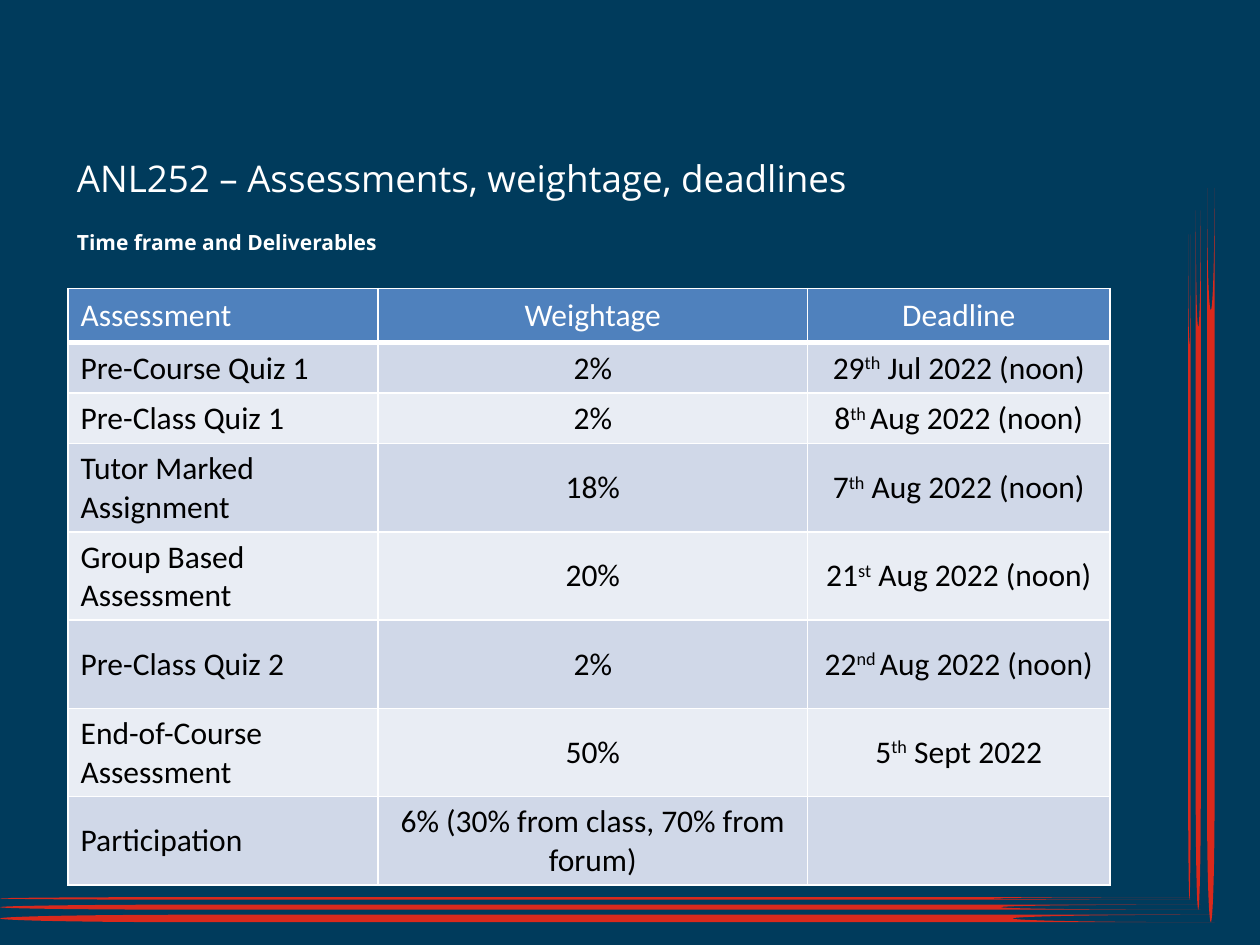
from pptx import Presentation
from pptx.dml.color import RGBColor
from pptx.enum.shapes import MSO_SHAPE
from pptx.enum.text import MSO_ANCHOR, PP_ALIGN
from pptx.oxml import parse_xml
from pptx.oxml.ns import nsdecls
from pptx.util import Inches, Pt

COLORS = {
    "background": "003B5C", "stripe": "DA291C", "white": "FFFFFF", "black": "000000",
    "header": "4F81BD", "odd_row": "D0D8E8", "even_row": "E9EDF4",
}
TITLE = "ANL252 – Assessments, weightage, deadlines"
SUBTITLE = "Time frame and Deliverables"
HEADINGS = ["Assessment", "Weightage", "Deadline"]
# Assessment, weightage, deadline as (day, raised suffix, rest), row height
ASSESSMENTS = [
    ("Pre-Course Quiz 1", "2%", ("29", "th", " Jul 2022 (noon)"), 0.4),
    ("Pre-Class Quiz 1", "2%", ("8", "th ", "Aug 2022 (noon)"), 0.4),
    ("Tutor Marked Assignment", "18%", ("7", "th", " Aug 2022 (noon)"), 0.4),
    ("Group Based Assessment", "20%", ("21", "st", " Aug 2022 (noon)"), 0.7),
    ("Pre-Class Quiz 2", "2%", ("22", "nd ", "Aug 2022 (noon)"), 0.7),
    ("End-of-Course Assessment", "50%", ("5", "th", " Sept 2022"), 0.7),
    ("Participation", "6% (30% from class, 70% from forum)", (), 0.4),
]
HEADER_HEIGHT = 0.43
COLUMN_WIDTHS = [2.46, 3.41, 2.4]
# Right edge, bottom edge, thickness, height of the upright stripe
STRIPES = [(9.45, 7.14, 0.02, 5.28), (9.53, 7.22, 0.04, 5.55), (9.64, 7.32, 0.06, 5.83)]


def color(name):
    return RGBColor.from_string(COLORS[name])


def add_filled_shape(slide, kind, left, top, width, height, fill):
    shape = slide.shapes.add_shape(
        kind, Inches(left), Inches(top), Inches(width), Inches(height))
    shape.shadow.inherit = False
    shape.fill.solid()
    shape.fill.fore_color.rgb = color(fill)
    shape.line.fill.background()
    return shape


def add_stripe_pair(slide, right, bottom, thickness, upright):
    """Add a level stripe and an upright one that meet at the same corner."""
    kind = MSO_SHAPE.FLOWCHART_STORED_DATA
    add_filled_shape(slide, kind, 0, bottom - thickness, right, thickness, "stripe")
    left = right - thickness / 2 - upright / 2
    top = bottom - upright / 2 - thickness / 2
    stripe = add_filled_shape(slide, kind, left, top, upright, thickness, "stripe")
    stripe.rotation = 270


def add_heading(slide, text, left, top, width, height, size, bold, anchor):
    box = slide.shapes.add_textbox(
        Inches(left), Inches(top), Inches(width), Inches(height))
    frame = box.text_frame
    frame.word_wrap = True
    frame.vertical_anchor = anchor
    frame.margin_left = frame.margin_right = Inches(0.07)
    frame.margin_top = frame.margin_bottom = Inches(0.04)
    frame.text = text
    font = frame.paragraphs[0].runs[0].font
    font.name, font.size, font.bold = "Open Sans", Pt(size), bold
    font.color.rgb = color("white")


def style_cell(cell, fill, text_color, alignment, bottom_width):
    properties = cell._tc.get_or_add_tcPr()
    for side, width in (("L", 1), ("R", 1), ("T", 1), ("B", bottom_width)):
        properties.append(parse_xml(
            f'<a:ln{side} {nsdecls("a")} w="{Pt(width)}"><a:solidFill>'
            f'<a:srgbClr val="{COLORS["white"]}"/></a:solidFill></a:ln{side}>'))
    cell.fill.solid()
    cell.fill.fore_color.rgb = color(fill)
    cell.vertical_anchor = MSO_ANCHOR.MIDDLE
    paragraph = cell.text_frame.paragraphs[0]
    paragraph.alignment = alignment
    for font in [paragraph.font] + [run.font for run in paragraph.runs]:
        font.name, font.size, font.bold = "Calibri", Pt(18), False
        font.color.rgb = color(text_color)


def fill_deadline(cell, parts):
    paragraph = cell.text_frame.paragraphs[0]
    for index, text in enumerate(parts):
        run = paragraph.add_run()
        run.text = text
        if index == 1:
            run._r.get_or_add_rPr().set("baseline", "30000")


def add_assessment_table(slide):
    heights = [HEADER_HEIGHT] + [row[-1] for row in ASSESSMENTS]
    table = slide.shapes.add_table(
        len(heights), len(HEADINGS), Inches(0.54), Inches(2.29),
        Inches(sum(COLUMN_WIDTHS)), Inches(sum(heights))).table
    for column, width in zip(table.columns, COLUMN_WIDTHS):
        column.width = Inches(width)
    for row, height in zip(table.rows, heights):
        row.height = Inches(height)

    for index, heading in enumerate(HEADINGS):
        table.cell(0, index).text = heading
    for index, (assessment, weightage, deadline, _) in enumerate(ASSESSMENTS, 1):
        table.cell(index, 0).text = assessment
        table.cell(index, 1).text = weightage
        fill_deadline(table.cell(index, 2), deadline)

    for row_index, row in enumerate(table.rows):
        if row_index == 0:
            fill, text_color, bottom_width = "header", "white", 3
        else:
            fill = "odd_row" if row_index % 2 else "even_row"
            text_color, bottom_width = "black", 1
        for column_index, cell in enumerate(row.cells):
            alignment = PP_ALIGN.CENTER if column_index else PP_ALIGN.LEFT
            style_cell(cell, fill, text_color, alignment, bottom_width)


def main():
    presentation = Presentation()
    presentation.slide_width, presentation.slide_height = Inches(10), Inches(7.5)
    slide = presentation.slides.add_slide(presentation.slide_layouts[6])
    add_filled_shape(slide, MSO_SHAPE.RECTANGLE, 0, 0, 10, 7.5, "background")
    for stripe in STRIPES:
        add_stripe_pair(slide, *stripe)
    add_heading(slide, TITLE, 0.54, 1.16, 6.79, 0.5, 21, False, MSO_ANCHOR.MIDDLE)
    add_heading(slide, SUBTITLE, 0.54, 1.78, 6.19, 0.25, 12, True, MSO_ANCHOR.TOP)
    add_assessment_table(slide)
    presentation.save("out.pptx")


if __name__ == "__main__":
    main()
